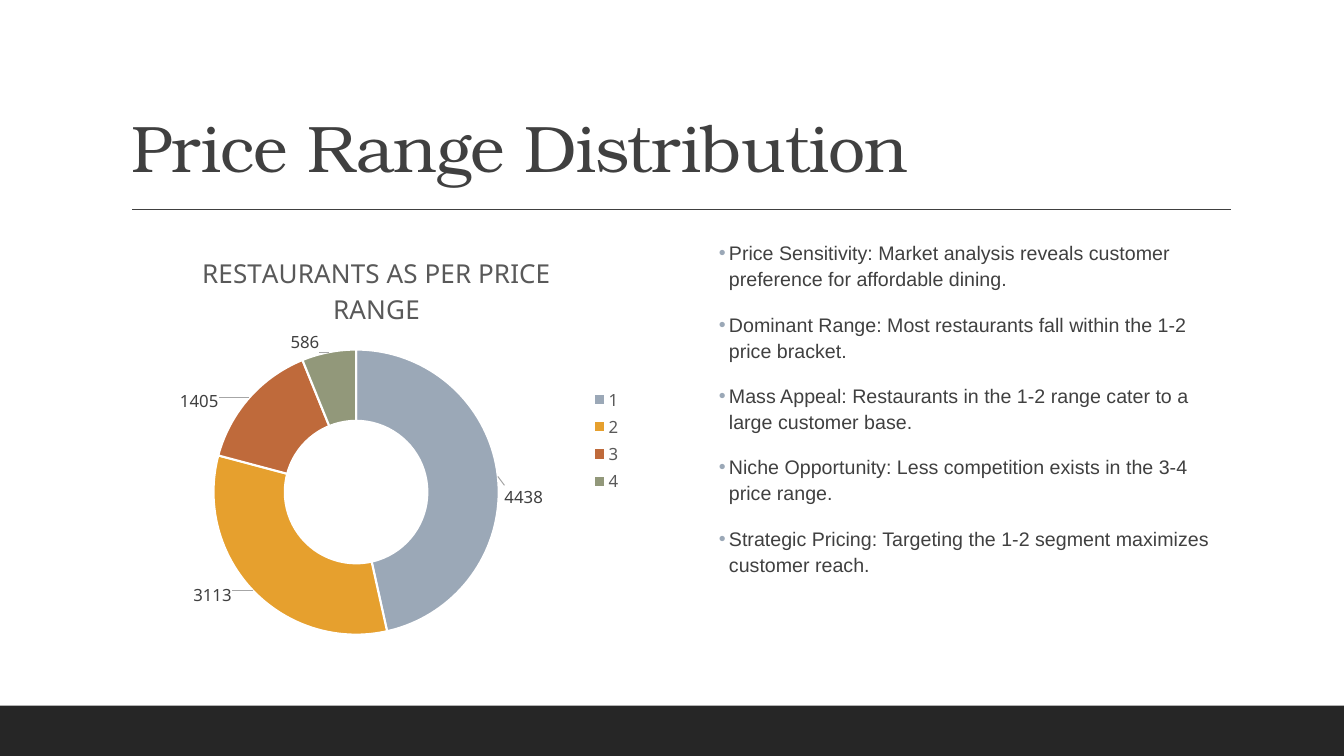
import copy

import pptx
import pptx.chart.data
import pptx.dml.color
import pptx.enum.chart
import pptx.enum.shapes
import pptx.enum.text
import pptx.oxml
import pptx.oxml.ns
import pptx.util

Inches = pptx.util.Inches
Pt = pptx.util.Pt
qn = pptx.oxml.ns.qn

COLORS = {
    "footer": "262626",
    "text": "404040",
    "caption": "595959",
    "leader": "A6A6A6",
    "gap": "FFFFFF",
    "bullet": "9BA8B7",
    "1": "9BA8B7",
    "2": "E6A02E",
    "3": "BF6A3B",
    "4": "92987A",
}
RESTAURANTS = {"1": 4438, "2": 3113, "3": 1405, "4": 586}
# Label shifts from the middle of each ring segment, as fractions of the chart
LABEL_SHIFTS = [(0.12, 0.04), (-0.13, 0.07), (-0.15, -0.05), (-0.06, -0.11)]
FINDINGS = [
    "Price Sensitivity: Market analysis reveals customer preference for affordable dining.",
    "Dominant Range: Most restaurants fall within the 1-2 price bracket.",
    "Mass Appeal: Restaurants in the 1-2 range cater to a large customer base.",
    "Niche Opportunity: Less competition exists in the 3-4 price range.",
    "Strategic Pricing: Targeting the 1-2 segment maximizes customer reach.",
]
NAMESPACES = pptx.oxml.ns.nsdecls("a", "c")


def rgb(name):
    return pptx.dml.color.RGBColor.from_string(COLORS[name])


def style_font(font, face, size, color):
    font.name, font.size, font.bold = face, Pt(size), False
    font.color.rgb = rgb(color)


deck = pptx.Presentation()
deck.slide_width, deck.slide_height = Inches(13.33), Inches(7.5)
slide = deck.slides.add_slide(deck.slide_layouts[1])
shapes = slide.shapes

# Footer band and rule under the title
footer = shapes.add_shape(pptx.enum.shapes.MSO_SHAPE.RECTANGLE,
                          0, Inches(7), deck.slide_width, Inches(0.5))
footer.shadow.inherit = False
footer.fill.solid()
footer.fill.fore_color.rgb = rgb("footer")
footer.line.fill.background()

rule = shapes.add_connector(pptx.enum.shapes.MSO_CONNECTOR.STRAIGHT,
                            Inches(1.31), Inches(2.08), Inches(12.21), Inches(2.08))
rule.line.color.rgb = rgb("text")
rule.line.width = Pt(1)
rule._element.spPr.append(pptx.oxml.parse_xml(f"<a:effectLst {NAMESPACES}/>"))

# Title
heading = shapes.title
heading.left, heading.top = Inches(1.2), Inches(0.31)
heading.width, heading.height = Inches(11), Inches(1.59)
heading.text_frame.auto_size = pptx.enum.text.MSO_AUTO_SIZE.NONE
heading.text_frame.vertical_anchor = pptx.enum.text.MSO_ANCHOR.BOTTOM
heading.text_frame.text = "Price Range Distribution"
heading_line = heading.text_frame.paragraphs[0]
heading_line.alignment = pptx.enum.text.PP_ALIGN.LEFT
heading_line.line_spacing = 0.9
style_font(heading_line.runs[0].font, "TeX Gyre Bonum", 47, "text")
heading_line.runs[0]._r.get_or_add_rPr().set("spc", "-50")

# Findings
findings = slide.placeholders[1]
findings.left, findings.top = Inches(7.13), Inches(2.32)
findings.width, findings.height = Inches(5.07), Inches(4.1)
findings_frame = findings.text_frame
findings_frame.auto_size = pptx.enum.text.MSO_AUTO_SIZE.NONE
findings_frame.margin_left = findings_frame.margin_right = 0
findings_frame.text = "\n".join(FINDINGS)
finding_format = {"line_spacing": 1.1, "space_before": Pt(12), "space_after": Pt(2)}
for finding in findings_frame.paragraphs:
    for attribute, value in finding_format.items():
        setattr(finding, attribute, value)
    style_font(finding.runs[0].font, "Arial", 14, "text")
    properties = finding._p.get_or_add_pPr()
    properties.set("marL", str(Inches(0.1)))
    properties.set("indent", str(Inches(-0.1)))
    for bullet_xml in (
        f'<a:buClr {NAMESPACES}><a:srgbClr val="{COLORS["bullet"]}"/></a:buClr>',
        f'<a:buChar {NAMESPACES} char="•"/>',
    ):
        properties.append(pptx.oxml.parse_xml(bullet_xml))

# Doughnut chart
price_data = pptx.chart.data.CategoryChartData()
price_data.categories = list(RESTAURANTS)
price_data.add_series("Series 1", list(RESTAURANTS.values()))
chart = shapes.add_chart(pptx.enum.chart.XL_CHART_TYPE.DOUGHNUT, Inches(1.2), Inches(2.32),
                         Inches(5.07), Inches(4.1), price_data).chart
chart.font.name, chart.font.size = "Noto Sans", Pt(10)
chart.has_title = True
chart.chart_title.include_in_layout = False
chart.chart_title.text_frame.text = "RESTAURANTS AS PER PRICE RANGE"
style_font(chart.chart_title.text_frame.paragraphs[0].runs[0].font, "Noto Sans", 18.6, "caption")
chart.has_legend = True
chart.legend.position = pptx.enum.chart.XL_LEGEND_POSITION.RIGHT
chart.legend.include_in_layout = False
style_font(chart.legend.font, "Noto Sans", 12, "caption")

ring = chart.plots[0]
ring.vary_by_categories = True
ring._element.find(qn("c:holeSize")).set("val", "75")
plot_area = chart._chartSpace.chart.plotArea
for old_layout in plot_area.findall(qn("c:layout")):
    plot_area.remove(old_layout)
plot_area.insert(0, pptx.oxml.parse_xml(
    f'<c:layout {NAMESPACES}><c:manualLayout><c:layoutTarget val="inner"/>'
    '<c:xMode val="edge"/><c:yMode val="edge"/><c:x val="0.18"/><c:y val="0.28"/>'
    '<c:w val="0.56"/><c:h val="0.69"/></c:manualLayout></c:layout>'))

# Slices, with labels moved outside the ring
series = ring.series[0]
labels = series.data_labels
labels.show_value = True
style_font(labels.font, "Noto Sans", 12, "text")
labels_xml = labels._element
for old_leader in labels_xml.findall(qn("c:showLeaderLines")):
    labels_xml.remove(old_leader)
for leader_xml in (
    f'<c:showLeaderLines {NAMESPACES} val="1"/>',
    f'<c:leaderLines {NAMESPACES}><c:spPr><a:ln w="9525"><a:solidFill>'
    f'<a:srgbClr val="{COLORS["leader"]}"/></a:solidFill></a:ln></c:spPr></c:leaderLines>',
):
    labels_xml.append(pptx.oxml.parse_xml(leader_xml))
label_font = labels_xml.find(qn("c:txPr"))

for index, (price_range, (shift_x, shift_y)) in enumerate(zip(RESTAURANTS, LABEL_SHIFTS)):
    piece = series.points[index].format
    piece.fill.solid()
    piece.fill.fore_color.rgb = rgb(price_range)
    piece.line.color.rgb = rgb("gap")
    piece.line.width = Pt(1.5)
    label = pptx.oxml.parse_xml(
        f'<c:dLbl {NAMESPACES}><c:idx val="{index}"/><c:layout><c:manualLayout>'
        f'<c:x val="{shift_x}"/><c:y val="{shift_y}"/></c:manualLayout></c:layout>'
        '<c:showLegendKey val="0"/><c:showVal val="1"/><c:showCatName val="0"/>'
        '<c:showSerName val="0"/><c:showPercent val="0"/><c:showBubbleSize val="0"/></c:dLbl>')
    label.insert(2, copy.deepcopy(label_font))
    labels_xml.insert(index, label)

deck.save("out.pptx")
